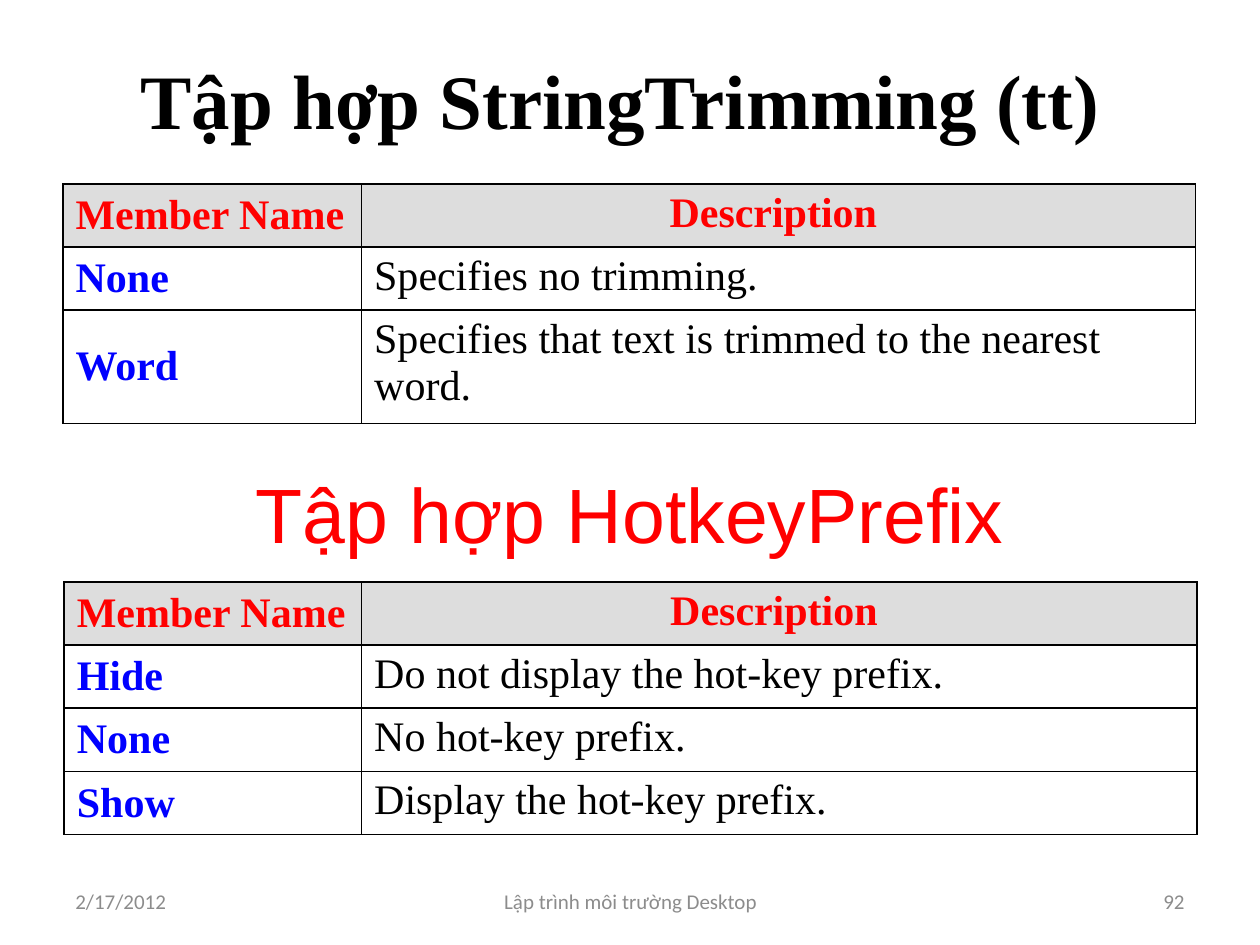
from dataclasses import dataclass

from lxml import etree
from pptx import Presentation
from pptx.dml.color import RGBColor
from pptx.enum import text
from pptx.oxml import ns
from pptx.util import Inches, Pt


@dataclass(frozen=True)
class Theme:
    black: str = "000000"
    red: str = "FF0000"
    blue: str = "0000FF"
    header_fill: str = "DDDDDD"
    white: str = "FFFFFF"
    grey: str = "8C8C8C"
    heading_size: int = 44
    table_size: int = 24
    footer_size: int = 12
    serif: str = "Times New Roman"
    sans: str = "Arial"
    footer_font: str = "Calibri"


THEME = Theme()
LEFT, CENTER, RIGHT = text.PP_ALIGN.LEFT, text.PP_ALIGN.CENTER, text.PP_ALIGN.RIGHT


def write(frame, words, *, size, font, color, bold=False, align=LEFT):
    frame.word_wrap = True
    para = frame.paragraphs[0]
    para.alignment = align
    span = para.add_run()
    span.text = words
    span.font.size = Pt(size)
    span.font.name = font
    span.font.bold = bold
    span.font.color.rgb = RGBColor.from_string(color)


def add_borders(cell):
    """Draw a 1 pt black line on every side; call before filling the cell."""
    properties = cell._tc.get_or_add_tcPr()
    for side in ("lnL", "lnR", "lnT", "lnB"):
        line = etree.SubElement(properties, ns.qn(f"a:{side}"), w=str(Pt(1)))
        fill = etree.SubElement(line, ns.qn("a:solidFill"))
        etree.SubElement(fill, ns.qn("a:srgbClr"), val=THEME.black)


deck = Presentation()
deck.slide_width, deck.slide_height = Inches(10), Inches(7.5)
page = deck.slides.add_slide(deck.slide_layouts[6])

# Headings and footer
heading = dict(size=THEME.heading_size, align=CENTER)
footer = dict(size=THEME.footer_size, font=THEME.footer_font, color=THEME.grey)
text_boxes = [
    (0.5, 0.16, 9, 1.25, "Tập hợp StringTrimming (tt) ",
     dict(heading, font=THEME.serif, color=THEME.black, bold=True)),
    (0.5, 3.44, 9, 1.25, "Tập hợp HotkeyPrefix",
     dict(heading, font=THEME.sans, color=THEME.red)),
    (0.5, 6.95, 2.33, 0.4, "2/17/2012", footer),
    (3.42, 6.95, 3.17, 0.4, "Lập trình môi trường Desktop", dict(footer, align=CENTER)),
    (7.17, 6.95, 2.33, 0.4, "92", dict(footer, align=RIGHT)),
]
for left, top, width, height, words, style in text_boxes:
    box = page.shapes.add_textbox(Inches(left), Inches(top), Inches(width), Inches(height))
    box.text_frame.vertical_anchor = text.MSO_ANCHOR.MIDDLE
    write(box.text_frame, words, **style)

# Member tables
header = ("Member Name", "Description ")
trimming_members = [
    ("None", "Specifies no trimming.\u00a0"),
    ("Word", "Specifies that text is trimmed to the nearest word.\u00a0"),
]
hotkey_members = [
    ("Hide", "Do not display the hot-key prefix."),
    ("None", "No hot-key prefix."),
    ("Show", "Display the hot-key prefix."),
]
tables = [
    (0.5, 1.46, (2.37, 6.62), (0.47, 0.47, 0.83), trimming_members),
    (0.51, 4.62, (2.36, 6.63), (0.47,) * 4, hotkey_members),
]
for left, top, widths, heights, members in tables:
    rows = [header, *members]
    table = page.shapes.add_table(
        len(rows), len(widths), Inches(left), Inches(top),
        Inches(sum(widths)), Inches(sum(heights))).table
    table.first_row = table.horz_banding = False
    for column, width in zip(table.columns, widths):
        column.width = Inches(width)
    for row, height in zip(table.rows, heights):
        row.height = Inches(height)
    for r, row in enumerate(rows):
        for c, words in enumerate(row):
            is_header, is_name = r == 0, c == 0
            cell = table.cell(r, c)
            add_borders(cell)
            cell.fill.solid()
            cell.fill.fore_color.rgb = RGBColor.from_string(
                THEME.header_fill if is_header else THEME.white)
            if is_name:
                cell.vertical_anchor = text.MSO_ANCHOR.MIDDLE
            body_color = THEME.blue if is_name else THEME.black
            write(cell.text_frame, words, size=THEME.table_size, font=THEME.serif,
                  color=THEME.red if is_header else body_color,
                  bold=is_header or is_name,
                  align=CENTER if is_header and not is_name else LEFT)

deck.save("out.pptx")
